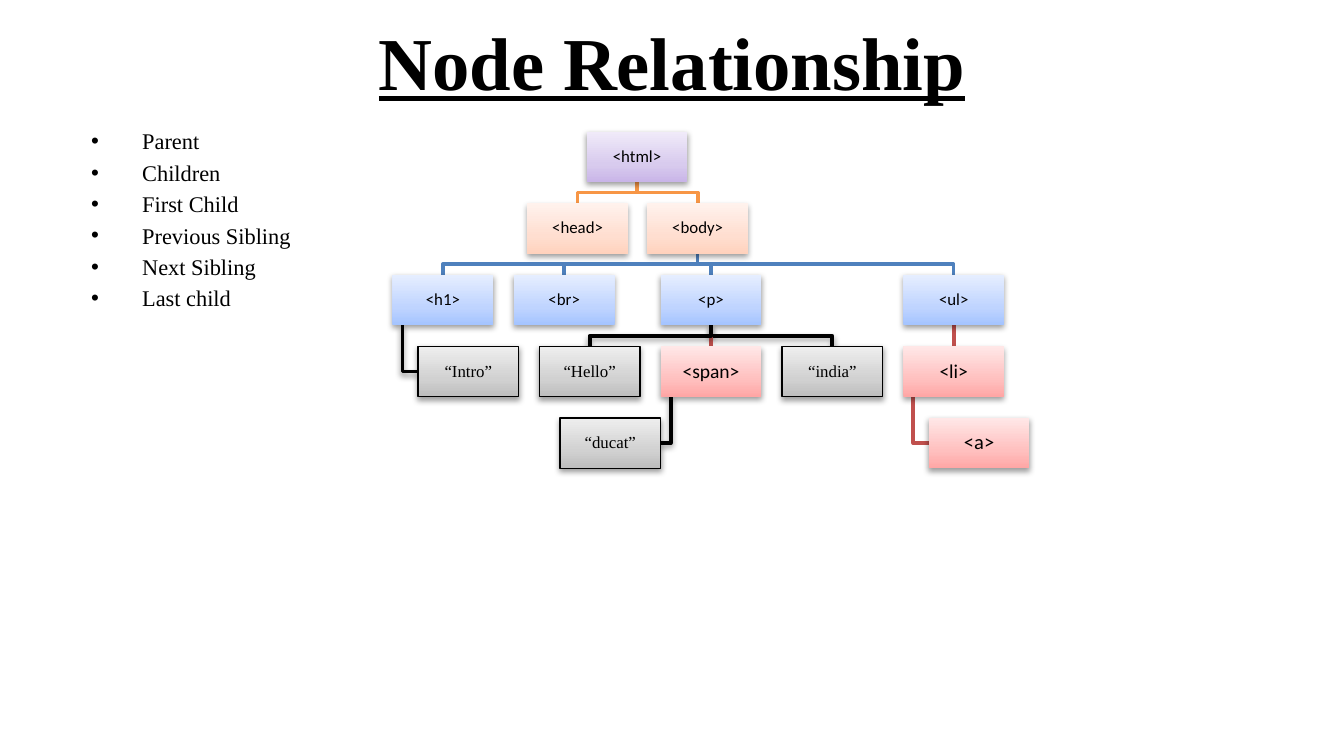
import pptx
import pptx.util
import pptx.dml.color
import pptx.enum.shapes
import pptx.enum.text
import pptx.oxml

Inches, Pt = pptx.util.Inches, pptx.util.Pt
RGB = pptx.dml.color.RGBColor.from_string
ALIGN, ANCHOR = pptx.enum.text.PP_ALIGN, pptx.enum.text.MSO_ANCHOR
NS = 'xmlns:a="http://schemas.openxmlformats.org/drawingml/2006/main"'
SERIF, SANS = "Times New Roman", "Calibri"

# Line colours, and box gradients from bottom to top
COLORS = {
    "black": "000000", "orange": "F79646", "blue": "4F81BD", "red": "C0504D",
    "lilac": "C9B5E8 D8CBEE F0EAF9", "peach": "FFD2BD FFDED0 FFF2ED",
    "sky": "A4C4FF BFD4FF E6EEFF", "rose": "FFA6A5 FFC0BF FFE7E7",
    "grey": "BDBDBD D1D1D1 EEEEEE",
}

# Tree grid: box size, left and top edge, column and row step
WIDE = 0.75
HIGH = WIDE / 2
LEFT, TOP = 2.92, 0.98
COL, ROW = 65 / 72, HIGH * 1.42

# Text: column, row, fill, size
NODES = {
    "<html>": (1.6, 0, "lilac", 9),
    "<head>": (1.11, 1, "peach", 9),
    "<body>": (2.1, 1, "peach", 9),
    "<h1>": (0, 2, "sky", 9),
    "“Intro”": (0.21, 3, "grey", 9),
    "<br>": (1, 2, "sky", 9),
    "<p>": (2.21, 2, "sky", 9),
    "“Hello”": (1.21, 3, "grey", 9),
    "<span>": (2.21, 3, "rose", 10.5),
    "“ducat”": (1.38, 4, "grey", 9),
    "“india”": (3.21, 3, "grey", 9),
    "<ul>": (4.21, 2, "sky", 9),
    "<li>": (4.21, 3, "rose", 10.5),
    "<a>": (4.42, 4, "rose", 11),
}

# Parent, child, colour, way the line enters the child
LINKS = [
    ("<li>", "<a>", "red", "left"),
    ("<ul>", "<li>", "red", "top"),
    ("<body>", "<ul>", "blue", "top"),
    ("<p>", "“india”", "black", "top"),
    ("<span>", "“ducat”", "black", "right"),
    ("<p>", "<span>", "red", "top"),
    ("<p>", "“Hello”", "black", "top"),
    ("<body>", "<p>", "blue", "top"),
    ("<body>", "<br>", "blue", "top"),
    ("<h1>", "“Intro”", "black", "left"),
    ("<body>", "<h1>", "blue", "top"),
    ("<html>", "<body>", "orange", "top"),
    ("<html>", "<head>", "orange", "top"),
]


def shade(shape, cast):
    """Replace the theme's shadow by a soft one below, or by none."""
    drop = ('<a:outerShdw blurRad="40000" dist="20000" dir="5400000" rotWithShape="0">'
            '<a:srgbClr val="000000"><a:alpha val="38000"/></a:srgbClr></a:outerShdw>')
    props = shape._element.spPr
    props.append(pptx.oxml.parse_xml(f"<a:effectLst {NS}>{drop if cast else ''}</a:effectLst>"))


def style(para, name, size):
    font = para.runs[0].font
    font.name, font.size = name, Pt(size)
    font.color.rgb = RGB(COLORS["black"])
    return font


deck = pptx.Presentation()
deck.slide_width = Inches(10)
deck.slide_height = deck.slide_width * 9 // 16
slide = deck.slides.add_slide(deck.slide_layouts[6])
shapes = slide.shapes

# Title
title = shapes.add_textbox(Inches(0.5), Inches(-0.02), Inches(9), Inches(0.94))
frame = title.text_frame
frame.word_wrap, frame.vertical_anchor = True, ANCHOR.MIDDLE
frame.text = "Node Relationship"
frame.paragraphs[0].alignment = ALIGN.CENTER
font = style(frame.paragraphs[0], SERIF, 40)
font.bold = font.underline = True

# Bullet list
terms = shapes.add_textbox(Inches(0.58), Inches(0.9), Inches(2), Inches(1.67))
frame = terms.text_frame
frame.word_wrap = True
frame.text = "Parent\nChildren\nFirst Child\nPrevious Sibling\nNext Sibling\nLast child"
for para in frame.paragraphs:
    para.space_before = Pt(2.4)
    style(para, SERIF, 12)
    props = para._p.get_or_add_pPr()
    props.set("marL", str(Inches(0.38)))
    props.set("indent", str(-Inches(0.38)))
    props.append(pptx.oxml.parse_xml(f'<a:buFont {NS} typeface="Arial"/>'))
    props.append(pptx.oxml.parse_xml(f'<a:buChar {NS} char="•"/>'))

# Left and top edge of each box
spots = {tag: (LEFT + col * COL, TOP + row * ROW) for tag, (col, row, *_) in NODES.items()}

# Tree lines, behind the boxes
for parent, child, color, side in LINKS:
    (px, py), (cx, cy) = spots[parent], spots[child]
    base = py + HIGH
    if side == "top":
        start, end = px + WIDE / 2, cx + WIDE / 2
        bend = (base + cy) / 2
        points = [(start, base), (start, bend), (end, bend), (end, cy)]
    else:
        start = px + WIDE / 10
        end = cx if side == "left" else cx + WIDE
        bend = cy + HIGH / 2
        points = [(start, base), (start, bend), (end, bend)]
    points = [(Inches(x), Inches(y)) for x, y in points]
    if start == end:
        link = shapes.add_connector(
            pptx.enum.shapes.MSO_CONNECTOR.STRAIGHT, *points[0], *points[-1])
    else:
        path = shapes.build_freeform(*points[0])
        path.add_line_segments(points[1:], close=False)
        link = path.convert_to_shape()
        link.fill.background()
    link.line.color.rgb = RGB(COLORS[color])
    link.line.width = Pt(2)
    shade(link, color == "black")

# Tree boxes
for tag, (col, row, fill, size) in NODES.items():
    x, y = spots[tag]
    box = shapes.add_shape(pptx.enum.shapes.MSO_SHAPE.RECTANGLE,
                           Inches(x), Inches(y), Inches(WIDE), Inches(HIGH))
    stops = "".join(f'<a:gs pos="{at}000"><a:srgbClr val="{tone}"/></a:gs>'
                    for at, tone in zip((0, 35, 100), COLORS[fill].split()))
    box._element.spPr.append(pptx.oxml.parse_xml(
        f'<a:gradFill {NS} rotWithShape="1"><a:gsLst>{stops}</a:gsLst>'
        '<a:lin ang="16200000" scaled="0"/></a:gradFill>'))
    if fill == "grey":
        box.line.color.rgb = RGB(COLORS["black"])
        box.line.width = Pt(0.75)
    else:
        box.line.fill.background()
    shade(box, True)
    frame = box.text_frame
    frame.margin_left = frame.margin_right = Inches(0.01)
    frame.margin_top = frame.margin_bottom = Inches(0.01)
    frame.word_wrap, frame.vertical_anchor = True, ANCHOR.MIDDLE
    frame.text = tag
    para = frame.paragraphs[0]
    para.alignment, para.line_spacing = ALIGN.CENTER, 0.9
    style(para, SERIF if fill == "grey" else SANS, size)

deck.save("out.pptx")
